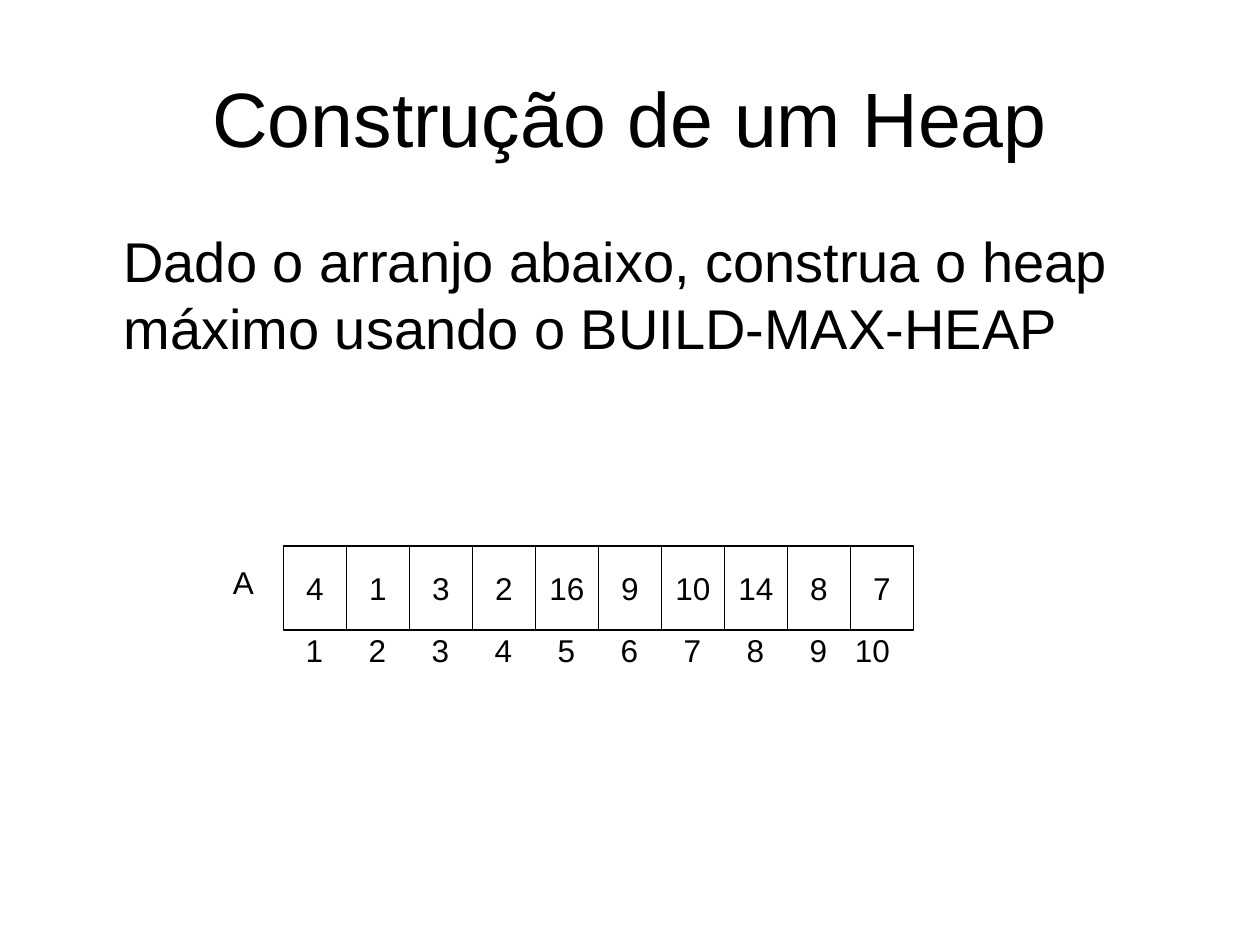
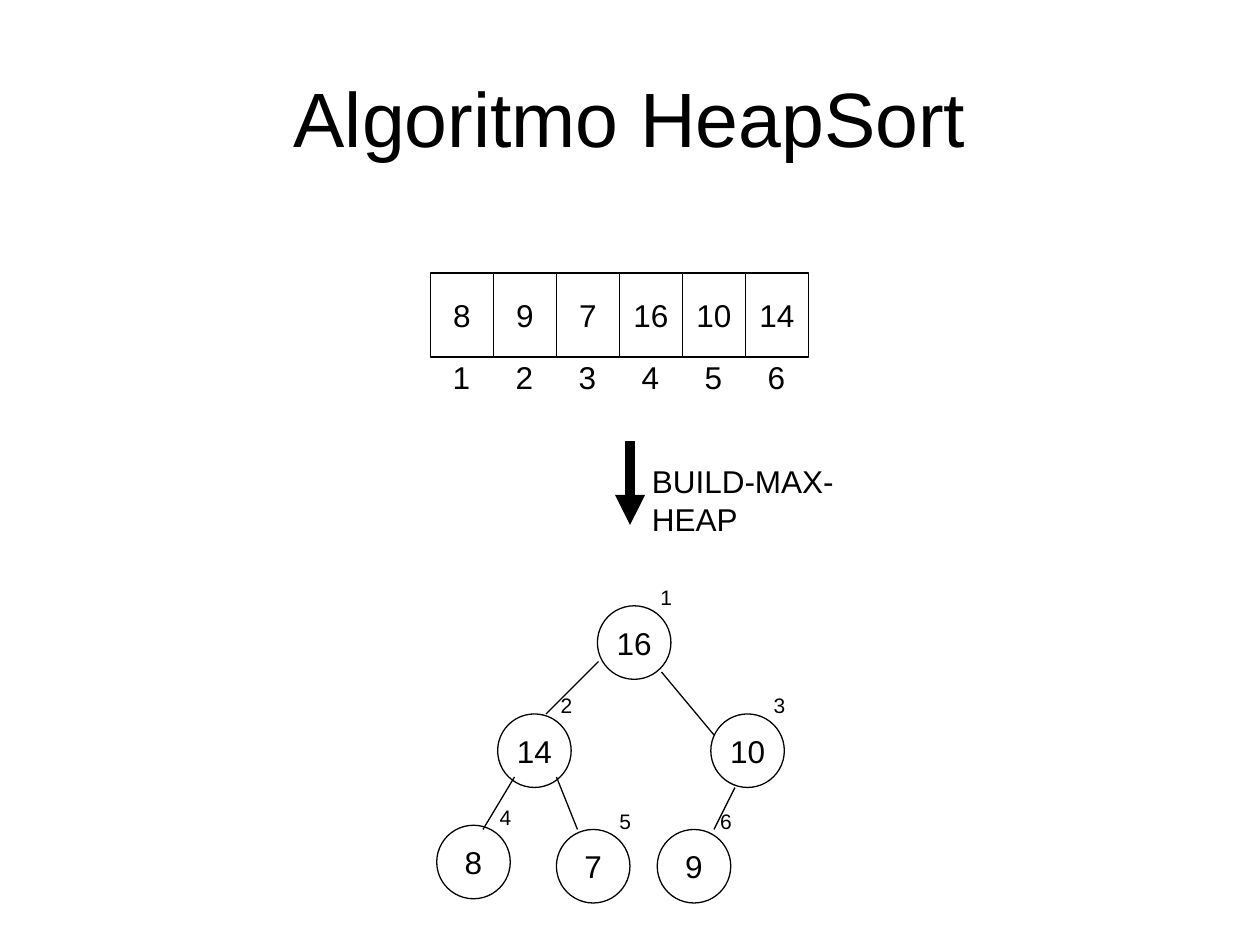
from lxml import etree
from pptx import Presentation
from pptx.dml.color import RGBColor
from pptx.enum.shapes import MSO_CONNECTOR, MSO_SHAPE
from pptx.enum.text import MSO_ANCHOR, MSO_AUTO_SIZE, PP_ALIGN
from pptx.oxml.ns import qn
from pptx.util import Inches, Pt

RECTANGLE, OVAL = MSO_SHAPE.RECTANGLE, MSO_SHAPE.OVAL
STRAIGHT = MSO_CONNECTOR.STRAIGHT
MIDDLE, TOP = MSO_ANCHOR.MIDDLE, MSO_ANCHOR.TOP
CENTER, LEFT = PP_ALIGN.CENTER, PP_ALIGN.LEFT
FIT_SHAPE, NO_FIT = MSO_AUTO_SIZE.SHAPE_TO_FIT_TEXT, MSO_AUTO_SIZE.NONE

COLUMNS, ROWS = 120, 90
SLIDE_WIDTH, SLIDE_HEIGHT = Inches(10), Inches(7.5)
INK, FONT = "000000", "Arial"
THIN, THICK = 0.75, 5.75
TITLE_SIZE, BODY_SIZE, LABEL_SIZE, INDEX_SIZE = 44, 32, 18, 12
TITLE_BOX = (6, 3.6, 108, 15)
CELL_WIDTH, CELL_HEIGHT = 6, 8
LABEL_HEIGHT = 4.8
NODE_SIZE = 7

HEAP_NODES = [
    (16, 15.3, 2.5),
    (14, 5.8, 12.8),
    (10, 26.1, 12.8),
    (8, 0, 23.4),
    (7, 11.4, 23.8),
    (9, 21, 23.8),
]
HEAP_EDGES = [
    (4.4, 23.8, 7.4, 18.8),
    (10.4, 12.8, 15.4, 7.8),
    (21.4, 8.8, 26.4, 14.8),
    (11.4, 18.8, 13.4, 23.8),
    (26.4, 23.8, 28.4, 19.8),
]


def color(value):
    return RGBColor.from_string(value)


def grid(x, y):
    return round(SLIDE_WIDTH * x / COLUMNS), round(SLIDE_HEIGHT * y / ROWS)


def place(x, y, width, height):
    return (*grid(x, y), *grid(width, height))


def write(shape, text, size, align=LEFT, anchor=TOP, wrap=False, fit=NO_FIT):
    frame = shape.text_frame
    frame.word_wrap = wrap
    frame.auto_size = fit
    frame.vertical_anchor = anchor
    paragraph = frame.paragraphs[0]
    paragraph.alignment = align
    run = paragraph.add_run()
    run.text = str(text)
    run.font.size = Pt(size)
    run.font.name = FONT
    run.font.color.rgb = color(INK)
    return paragraph


def add_label(shapes, text, x, y, width, height=LABEL_HEIGHT, size=LABEL_SIZE):
    label = shapes.add_textbox(*place(x, y, width, height))
    write(label, text, size, fit=FIT_SHAPE)


def add_outlined(shapes, kind, value, x, y, width, height):
    outlined = shapes.add_shape(kind, *place(x, y, width, height))
    outlined.shadow.inherit = False
    outlined.fill.background()
    outlined.line.color.rgb = color(INK)
    outlined.line.width = Pt(THIN)
    write(outlined, value, LABEL_SIZE, CENTER, MIDDLE)


def add_line(shapes, x1, y1, x2, y2, width=THIN):
    line = shapes.add_connector(STRAIGHT, *grid(x1, y1), *grid(x2, y2))
    line.line.color.rgb = color(INK)
    line.line.width = Pt(width)
    etree.SubElement(line.element.spPr, qn("a:effectLst"))
    return line


def add_titled_slide(deck, title):
    slide = deck.slides.add_slide(deck.slide_layouts[5])
    heading = slide.shapes.title
    heading.left, heading.top, heading.width, heading.height = place(*TITLE_BOX)
    write(heading, title, TITLE_SIZE, CENTER, MIDDLE, wrap=True)
    return slide.shapes


def add_statement(shapes, text, box):
    statement = shapes.add_textbox(*place(*box))
    statement.text_frame.margin_left = Inches(0.48)
    paragraph = write(statement, text, BODY_SIZE, wrap=True)
    paragraph.space_before = Pt(8)


def add_array(shapes, values, x, y):
    for index, value in enumerate(values, 1):
        cell_x = x + (index - 1) * CELL_WIDTH
        add_outlined(shapes, RECTANGLE, value, cell_x, y, CELL_WIDTH, CELL_HEIGHT)
        index_width = 2.4 + 1.68 * len(str(index))
        add_label(shapes, index, cell_x + 5 - index_width, y + 7.5, index_width)


def add_step_arrow(shapes, step, x, y):
    arrow = add_line(shapes, x, y, x, y + 8, THICK)
    etree.SubElement(arrow.line._get_or_add_ln(), qn("a:tailEnd"), type="triangle")
    add_label(shapes, step, x + 0.9, y + 1.4, 27.8)


def add_heap(shapes, x, y):
    for index, (value, node_x, node_y) in enumerate(HEAP_NODES, 1):
        node = shapes.add_group_shape().shapes
        left, top = x + node_x, y + node_y
        add_outlined(node, OVAL, value, left, top, NODE_SIZE, NODE_SIZE)
        add_label(node, index, left + 4.8, top - 2.6, 3.5, 3.6, INDEX_SIZE)
    for x1, y1, x2, y2 in HEAP_EDGES:
        add_line(shapes, x + x1, y + y1, x + x2, y + y2)


def build_exercise_slide(deck):
    shapes = add_titled_slide(deck, "Construção de um Heap")
    add_statement(
        shapes,
        "Dado o arranjo abaixo, construa o heap máximo usando o BUILD-MAX-HEAP",
        (6, 21, 108, 59.4),
    )
    add_array(shapes, [4, 1, 3, 2, 16, 9, 10, 14, 8, 7], 27, 52)
    add_label(shapes, "A", 21, 53, 4.3)


def build_heapsort_slide(deck):
    shapes = add_titled_slide(deck, "Algoritmo HeapSort")
    add_heap(shapes, 41.6, 55.2)
    add_array(shapes, [8, 9, 7, 16, 10, 14], 41, 26)
    add_step_arrow(shapes, "BUILD-MAX-HEAP", 60, 42)


def main():
    deck = Presentation()
    deck.slide_width, deck.slide_height = SLIDE_WIDTH, SLIDE_HEIGHT
    build_exercise_slide(deck)
    build_heapsort_slide(deck)
    deck.save("out.pptx")


if __name__ == "__main__":
    main()
